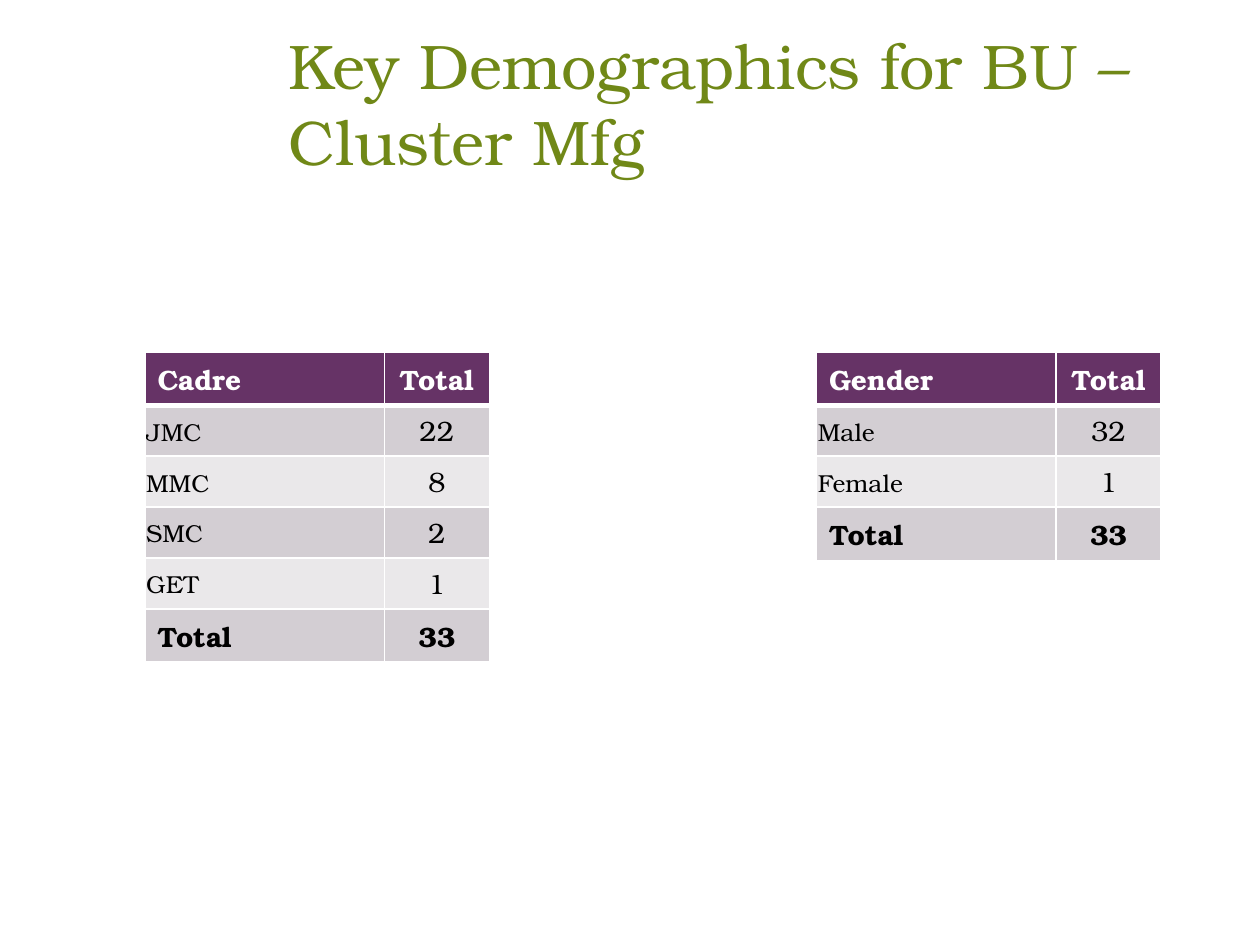
from dataclasses import dataclass

from lxml.etree import SubElement
from pptx import Presentation
from pptx.dml.color import RGBColor
from pptx.enum.text import MSO_ANCHOR, MSO_AUTO_SIZE, PP_ALIGN
from pptx.oxml.ns import qn
from pptx.util import Pt


@dataclass(frozen=True)
class Theme:
    font: str = "TeX Gyre Bonum"
    title: str = "708817"
    header: str = "663366"
    white: str = "FFFFFF"
    black: str = "000000"
    bands: tuple = ("D3CED3", "EAE8EA")
    title_size: int = 36
    table_size: int = 16
    label_size: int = 14


class SlideBuilder:
    def __init__(self, slide, theme):
        self.slide = slide
        self.theme = theme

    def add_run(self, paragraph, text, size, color, bold=False):
        run = paragraph.add_run()
        run.text = text
        run.font.name = self.theme.font
        run.font.size = Pt(size)
        run.font.bold = bold
        run.font.color.rgb = RGBColor.from_string(color)

    def add_title(self, text, left, top, width, height):
        title = self.slide.shapes.title
        title.left, title.top = Pt(left), Pt(top)
        title.width, title.height = Pt(width), Pt(height)
        frame = title.text_frame
        frame.word_wrap = True
        frame.auto_size = MSO_AUTO_SIZE.NONE
        frame.vertical_anchor = MSO_ANCHOR.TOP
        paragraph = frame.paragraphs[0]
        paragraph.alignment = PP_ALIGN.LEFT
        self.add_run(paragraph, text, self.theme.title_size, self.theme.title)

    def set_borders(self, cell, bottom_width, top_width):
        properties = cell._tc.get_or_add_tcPr()
        widths = {"a:lnL": 1, "a:lnR": 1, "a:lnT": top_width, "a:lnB": bottom_width}
        for position, (tag, width) in enumerate(widths.items()):
            line = SubElement(properties, qn(tag), w=str(Pt(width)))
            fill = SubElement(line, qn("a:solidFill"))
            SubElement(fill, qn("a:srgbClr"), val=self.theme.white)
            properties.insert(position, line)

    def format_cell(self, cell, text, row, column, last_row):
        theme = self.theme
        is_header = row == 0
        is_label = column == 0 and 0 < row < last_row
        cell.fill.solid()
        fill = theme.header if is_header else theme.bands[(row - 1) % 2]
        cell.fill.fore_color.rgb = RGBColor.from_string(fill)
        cell.vertical_anchor = MSO_ANCHOR.MIDDLE
        if is_label:
            cell.margin_left = cell.margin_right = cell.margin_top = Pt(0.75)
            cell.margin_bottom = Pt(0)
        paragraph = cell.text_frame.paragraphs[0]
        paragraph.alignment = PP_ALIGN.CENTER if column else PP_ALIGN.LEFT
        self.add_run(
            paragraph,
            text,
            theme.label_size if is_label else theme.table_size,
            theme.white if is_header else theme.black,
            bold=row in (0, last_row),
        )
        self.set_borders(cell, 3 if is_header else 1, 3 if row == 1 else 1)

    def add_table(self, rows, left, top, column_widths, header_height, row_height):
        last_row = len(rows) - 1
        height = header_height + last_row * row_height
        table = self.slide.shapes.add_table(
            len(rows), len(column_widths),
            Pt(left), Pt(top), Pt(sum(column_widths)), Pt(height),
        ).table
        for column, width in zip(table.columns, column_widths):
            column.width = Pt(width)
        for row, values in enumerate(rows):
            table.rows[row].height = Pt(row_height if row else header_height)
            for column, text in enumerate(values):
                self.format_cell(table.cell(row, column), text, row, column, last_row)


def main():
    presentation = Presentation()
    presentation.slide_width, presentation.slide_height = Pt(720), Pt(540)
    slide = presentation.slides.add_slide(presentation.slide_layouts[5])
    builder = SlideBuilder(slide, Theme())
    builder.add_title("Key Demographics for BU – Cluster Mfg", 157.7, 11.5, 543.6, 52.6)

    cadre_rows = [
        ("Cadre", "Total"), ("JMC", "22"), ("MMC", "8"),
        ("SMC", "2"), ("GET", "1"), ("Total", "33"),
    ]
    gender_rows = [("Gender", "Total"), ("Male", "32"), ("Female", "1"), ("Total", "33")]
    for rows, left in ((cadre_rows, 82.8), (gender_rows, 466.6)):
        builder.add_table(rows, left, 201, (136.8, 60), 30, 29.1)

    presentation.save("out.pptx")


if __name__ == "__main__":
    main()
